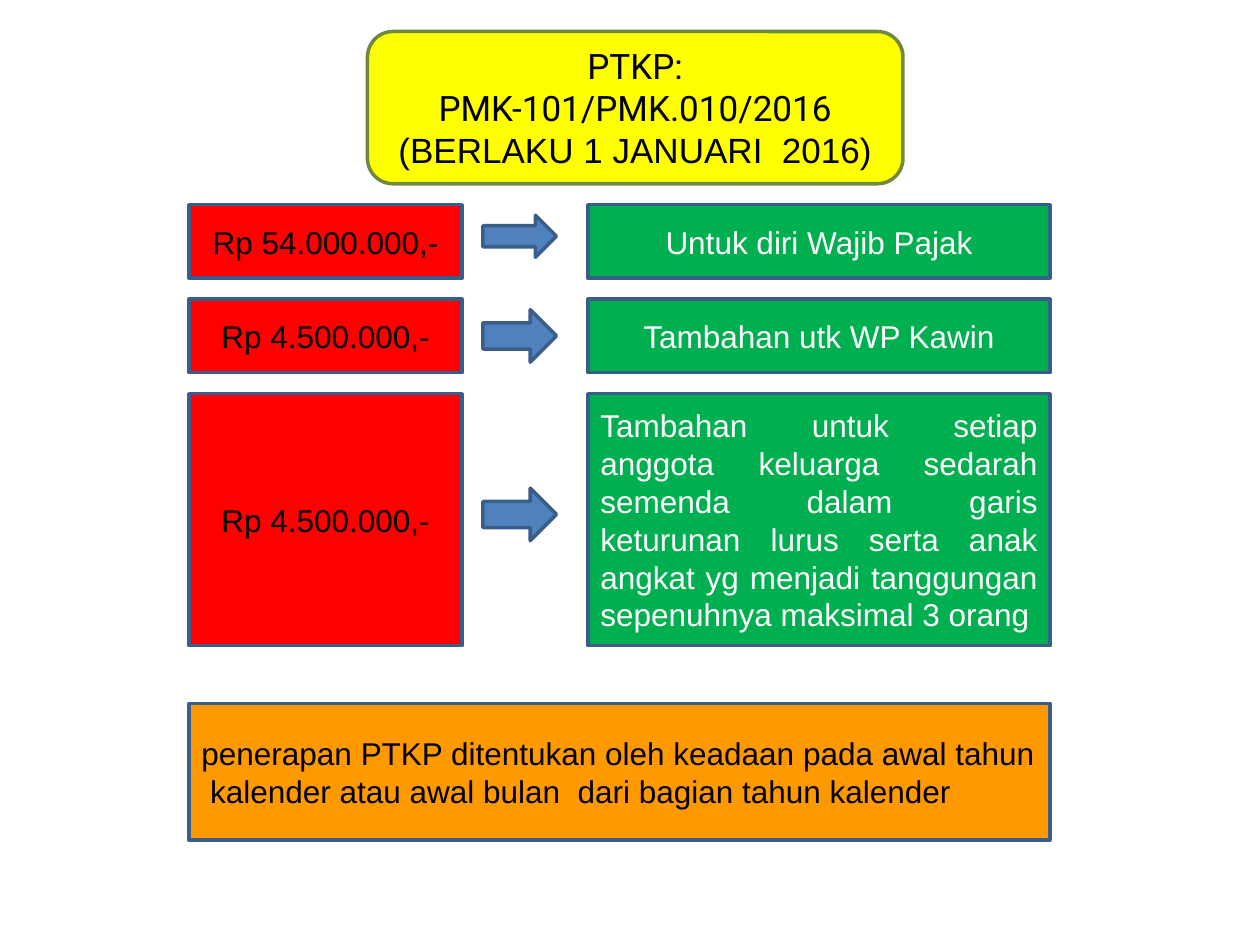
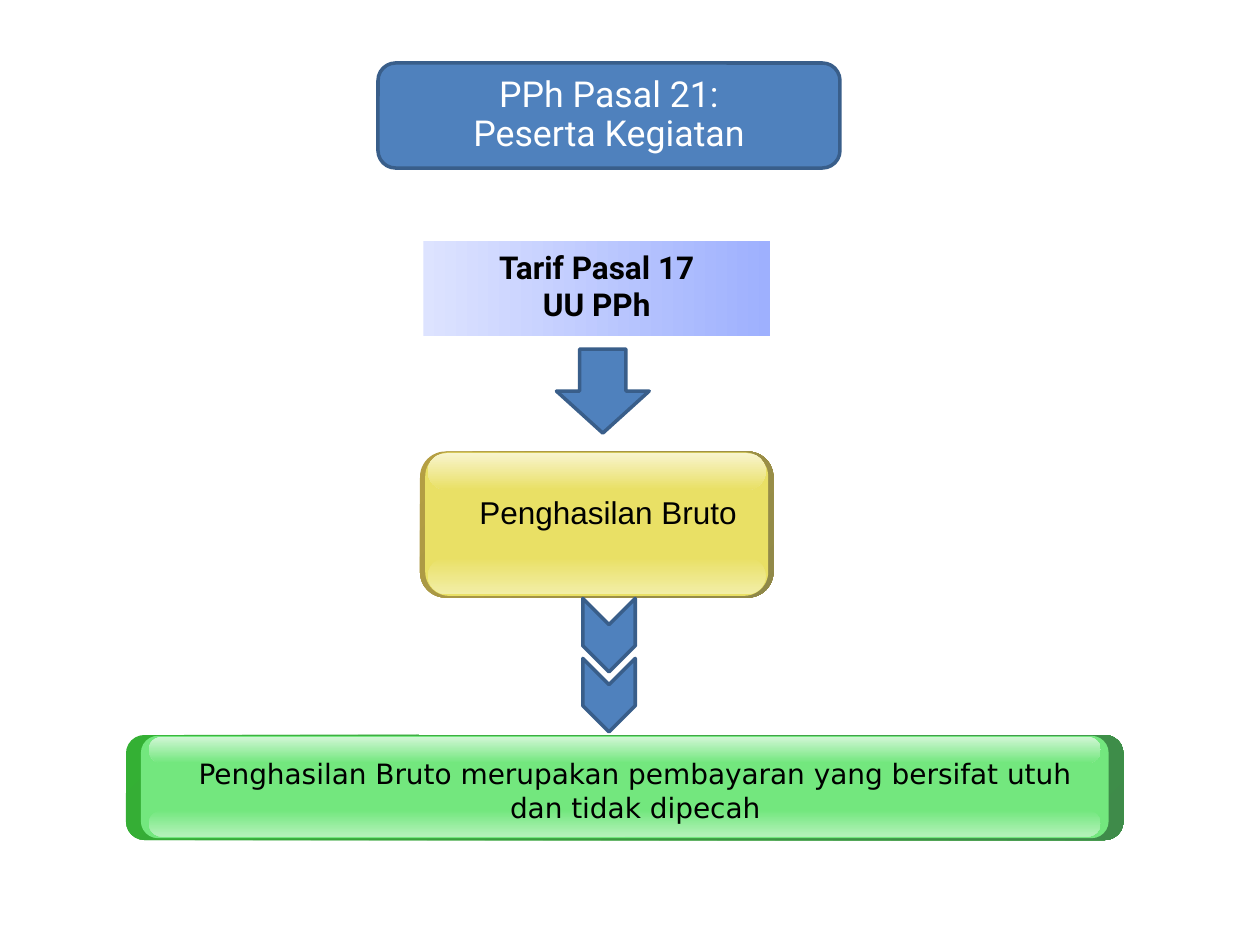
from dataclasses import dataclass

from lxml import etree
from pptx import Presentation
from pptx.dml.color import RGBColor
from pptx.enum import shapes, text
from pptx.util import Pt

SHAPE = shapes.MSO_SHAPE
ALIGN = text.PP_ALIGN
ANCHOR = text.MSO_ANCHOR

# Content
ALLOWANCE_TITLE = [
    ("PTKP:", "Roboto"),
    ("PMK-101/PMK.010/2016", "Roboto"),
    ("(BERLAKU 1 JANUARI  2016)", "Arial"),
]
# amount, who it is for, alignment, row height, arrow offset, arrow height
ALLOWANCES = [
    ("Rp 54.000.000,-", "Untuk diri Wajib Pajak", ALIGN.CENTER, 42, 6, 24),
    ("Rp 4.500.000,-", "Tambahan utk WP Kawin", ALIGN.CENTER, 42, 6, 30),
    ("Rp 4.500.000,-",
     "Tambahan untuk setiap anggota keluarga sedarah semenda dalam garis keturunan "
     "lurus serta anak angkat yg menjadi tanggungan sepenuhnya maksimal 3 orang",
     ALIGN.JUSTIFY, 144, 54, 30),
]
ALLOWANCE_NOTE = ("penerapan PTKP ditentukan oleh keadaan pada awal tahun  kalender "
                  "atau awal bulan  dari bagian tahun kalender")

PARTICIPANT_TITLE = [("PPh Pasal 21:", "Roboto"), ("Peserta Kegiatan", "Roboto")]
TARIFF = [("Tarif Pasal 17", "Roboto"), ("UU PPh", "Roboto")]
GROSS_INCOME = [("Penghasilan Bruto", "Arial")]
GROSS_INCOME_NOTE = [
    ("Penghasilan Bruto merupakan pembayaran yang bersifat utuh dan tidak dipecah",
     "DejaVu Sans"),
]


@dataclass(frozen=True)
class Theme:
    black: str = "000000"
    white: str = "FFFFFF"
    blue: str = "4F81BD"
    outline: str = "395E8A"
    olive: str = "718841"
    yellow: str = "FFFF00"
    red: str = "FF0000"
    green: str = "00B050"
    orange: str = "FF9900"
    lilac: tuple = ("DDE3FF", "9EB0FE")
    # each glossy box: rim gradient, face, top shine, bottom shine
    gold_gloss: tuple = (("B59F43", "8F8849"), "E9E065", "F8F4CD", "F2EEA7")
    green_gloss: tuple = (("34B034", "3F8B4A"), "73E77E", "D1F6D5", "B4F2BA")
    title_size: float = 20
    wide_title_size: float = 20.4
    body_size: float = 18
    note_size: float = 16
    line_width: float = 2


THEME = Theme()


def write_text(shape, lines, *, size=THEME.body_size, color=THEME.black, bold=False,
               align=ALIGN.CENTER, anchor=ANCHOR.MIDDLE, spacing=None):
    """Fill a shape with (words, font) lines, one paragraph each."""
    frame = shape.text_frame
    frame.word_wrap = True
    frame.auto_size = text.MSO_AUTO_SIZE.NONE
    frame.vertical_anchor = anchor
    frame.margin_left = frame.margin_right = Pt(7.2)
    frame.margin_top = frame.margin_bottom = Pt(3.6)
    for index, (words, font_name) in enumerate(lines):
        paragraph = frame.add_paragraph() if index else frame.paragraphs[0]
        paragraph.alignment = align
        paragraph.space_before = Pt(0)
        if spacing:
            paragraph.line_spacing = spacing
        run = paragraph.add_run()
        run.text = words
        run.font.name = font_name
        run.font.size = Pt(size)
        run.font.bold = bold
        run.font.color.rgb = RGBColor.from_string(color)


def add_box(slide, kind, box, fill, *, angle=0, line=None, corner=None):
    """Add a preset shape; a pair of colours gives a gradient, angle clockwise."""
    shape = slide.shapes.add_shape(kind, *map(Pt, box))
    shape.shadow.inherit = False
    if isinstance(fill, tuple):
        shape.fill.gradient()
        shape.fill.gradient_angle = -angle % 360
        for stop, color in zip(shape.fill.gradient_stops, fill):
            stop.color.rgb = RGBColor.from_string(color)
    else:
        shape.fill.solid()
        shape.fill.fore_color.rgb = RGBColor.from_string(fill)
    if line:
        shape.line.color.rgb = RGBColor.from_string(line)
        shape.line.width = Pt(THEME.line_width)
    else:
        shape.line.fill.background()
    if corner is not None:
        shape.adjustments[0] = corner
    return shape


def add_outlined(slide, kind, box, fill=THEME.blue):
    return add_box(slide, kind, box, fill, line=THEME.outline)


def add_text_box(slide, box, lines, **text_format):
    shape = slide.shapes.add_textbox(*map(Pt, box))
    write_text(shape, lines, anchor=ANCHOR.TOP, **text_format)


def add_titled_slide(presentation, lines, box, fill, line, **text_format):
    """Add a slide whose title sits on a rounded panel."""
    slide = presentation.slides.add_slide(presentation.slide_layouts[5])
    panel = add_box(slide, SHAPE.ROUNDED_RECTANGLE, box, fill, line=line, corner=0.167)
    title = slide.shapes.title
    title.left, title.top, title.width, title.height = map(Pt, box)
    write_text(title, lines, **text_format)
    panel.element.addnext(title.element)
    return slide


def add_glossy_box(slide, box, gloss, face_inset, shine_inset):
    """Stack a rim, a face and two shines into a bevelled rounded box."""
    left, top, width, height = box
    rim, face, top_shine, bottom_shine = gloss
    shine_height = height / 4

    def inset_box(inset, offset, layer_height):
        return left + inset, top + offset, width - 2 * inset, layer_height

    layers = [
        (box, rim, 45, 0.175),
        (inset_box(face_inset, 0.5, height - 1.5), face, 0, 0.167),
        (inset_box(shine_inset, height - shine_height - 2, shine_height),
         (face, bottom_shine), 90, 0.5),
        (inset_box(shine_inset, 1, shine_height), (top_shine, face), 90, 0.5),
    ]
    for layer_box, fill, angle, corner in layers:
        add_box(slide, SHAPE.ROUNDED_RECTANGLE, layer_box, fill, angle=angle, corner=corner)


def build_allowance_slide(presentation):
    slide = add_titled_slide(presentation, ALLOWANCE_TITLE, (210, 18, 306, 87),
                             THEME.yellow, THEME.olive, size=THEME.title_size)
    left, top, row_gap = 108, 117, 12
    for amount, purpose, align, height, arrow_offset, arrow_height in ALLOWANCES:
        amount_box = add_outlined(slide, SHAPE.RECTANGLE, (left, top, 156, height), THEME.red)
        write_text(amount_box, [(amount, "Arial")])
        purpose_box = add_outlined(slide, SHAPE.RECTANGLE, (336, top, 264, height), THEME.green)
        write_text(purpose_box, [(purpose, "Arial")], color=THEME.white, align=align)
        add_outlined(slide, SHAPE.RIGHT_ARROW, (276, top + arrow_offset, 42, arrow_height))
        top += height + row_gap
    note = add_outlined(slide, SHAPE.RECTANGLE, (left, 402, 492, 78), THEME.orange)
    write_text(note, [(ALLOWANCE_NOTE, "Arial")], align=ALIGN.LEFT)


def build_participant_slide(presentation):
    slide = add_titled_slide(presentation, PARTICIPANT_TITLE, (216, 36, 264, 60),
                             THEME.blue, THEME.outline, size=THEME.wide_title_size,
                             color=THEME.white, spacing=0.9)
    tariff = add_box(slide, SHAPE.RECTANGLE, (242, 138, 198, 54), THEME.lilac)
    write_text(tariff, TARIFF, bold=True, anchor=ANCHOR.TOP)
    add_outlined(slide, SHAPE.DOWN_ARROW, (318, 199.5, 53, 48))

    add_glossy_box(slide, (240, 258, 202, 83.5), THEME.gold_gloss, 3, 4.5)
    add_text_box(slide, (251.5, 278, 192, 29), GROSS_INCOME)
    add_glossy_box(slide, (72, 420, 570, 60), THEME.green_gloss, 8.5, 13)
    add_text_box(slide, (92, 429, 542, 48), GROSS_INCOME_NOTE, size=THEME.note_size)

    for step in range(2):
        chevron = add_outlined(slide, SHAPE.CHEVRON, (327, 348 + 34.25 * step, 42, 30))
        chevron.rotation = 90


def main():
    presentation = Presentation()
    presentation.slide_width, presentation.slide_height = Pt(720), Pt(540)
    build_allowance_slide(presentation)
    build_participant_slide(presentation)
    presentation.save("out.pptx")


if __name__ == "__main__":
    main()
